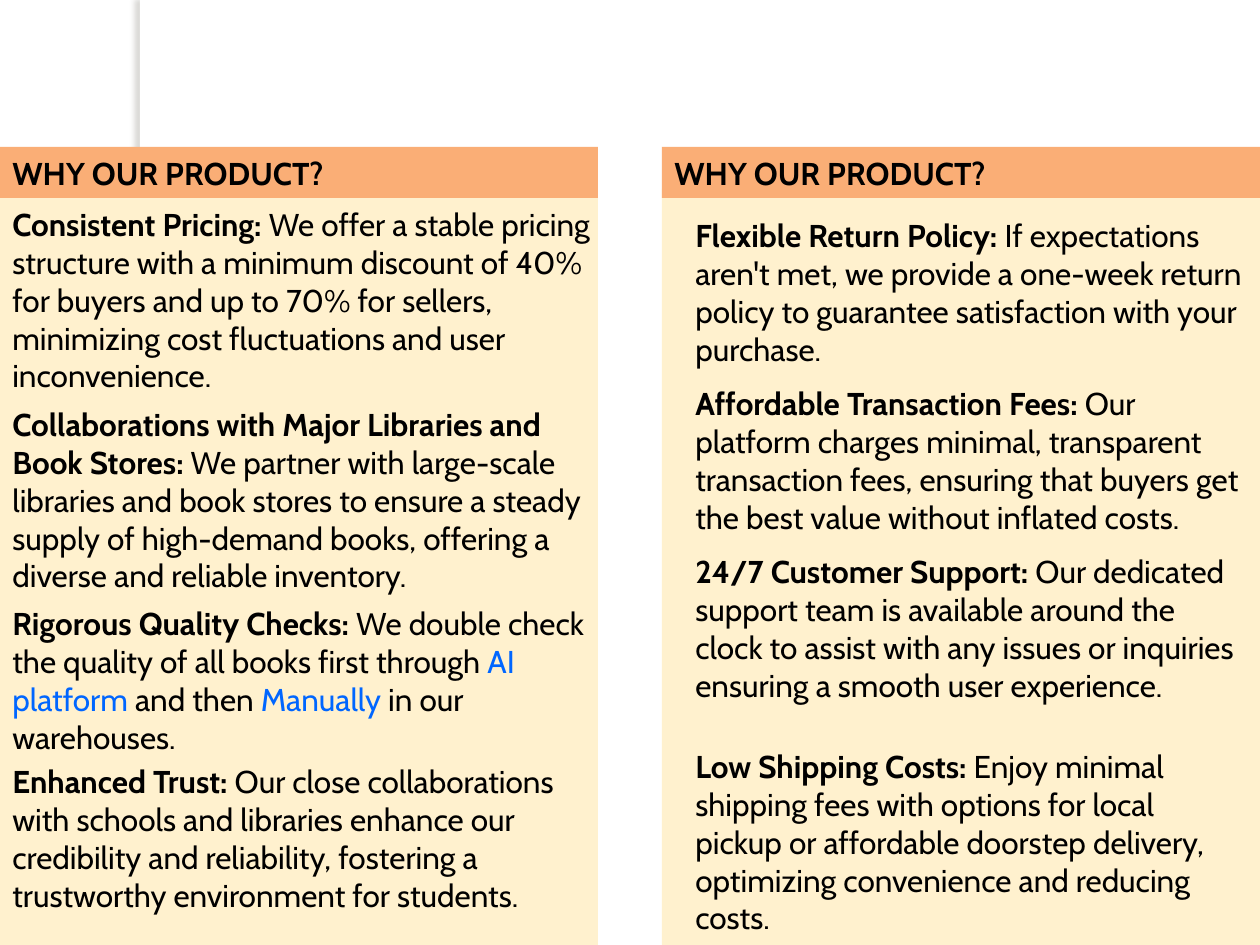
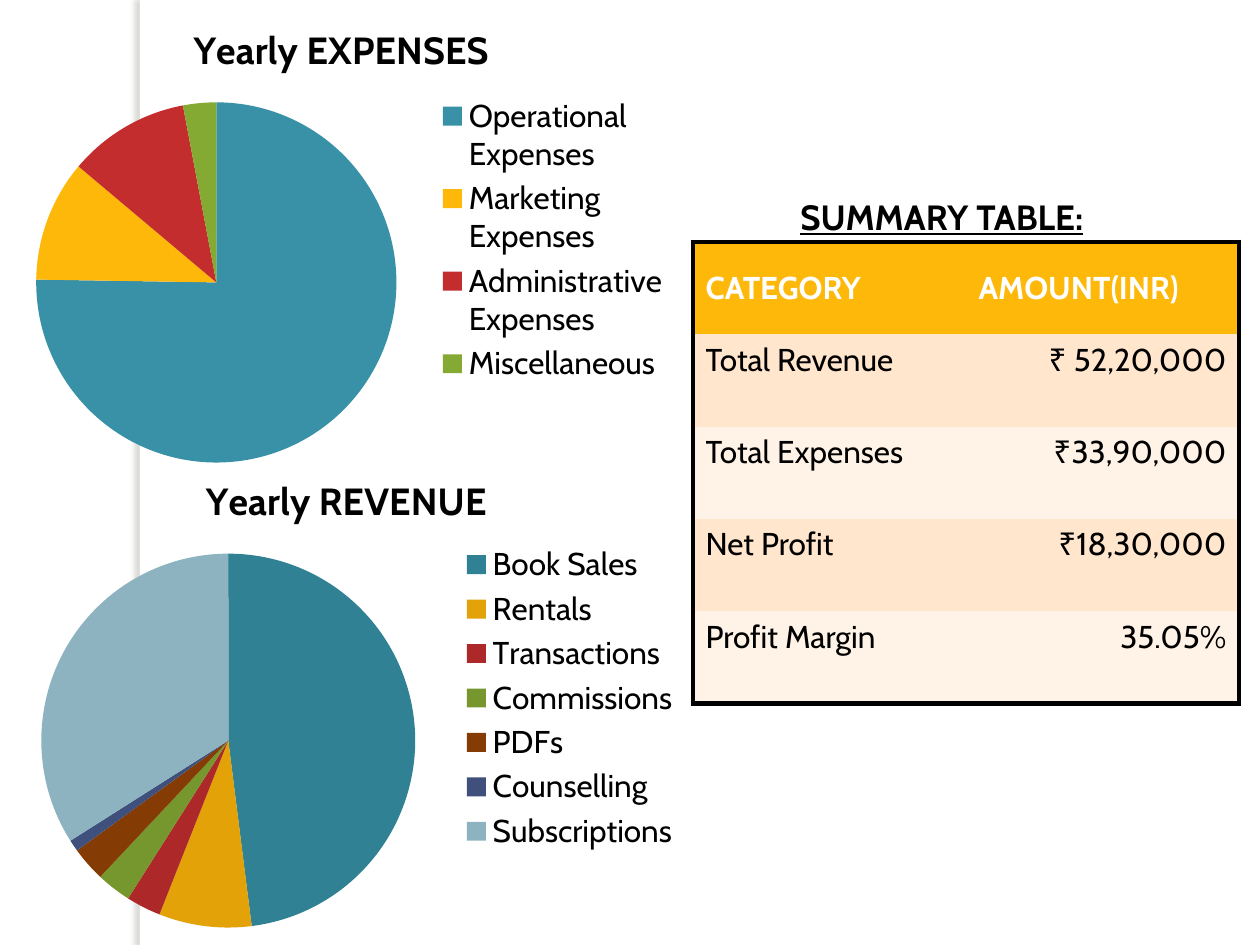
from lxml.etree import SubElement
from pptx import Presentation
from pptx.chart.data import CategoryChartData
from pptx.dml.color import RGBColor
from pptx.enum.chart import XL_CHART_TYPE, XL_LEGEND_POSITION
from pptx.enum.shapes import MSO_SHAPE
from pptx.enum.text import MSO_ANCHOR, MSO_AUTO_SIZE, PP_ALIGN
from pptx.oxml.ns import qn
from pptx.util import Emu, Pt

FONT = "Cabin"
BLACK, WHITE, BLUE = "000000", "FFFFFF", "0066FF"
CREAM, PEACH, GOLD = "FFF1CE", "FAAE76", "FEB80A"
STRIPES = ["FFE6CC", "FFF3E7"]
SHADE = "736F63"
PLAIN = "{2D5ABB26-0587-4C30-8999-92F81FD0307C}"

HEAD = "WHY OUR PRODUCT?"
PANELS = [
    (662, 683, [
        (210, 577, "Flexible Return Policy:", [
            (" If expectations aren't met, we provide a one-week return policy to "
             "guarantee satisfaction with your purchase.", BLACK)]),
        (378, 577, "Affordable Transaction Fees:", [
            (" Our platform charges minimal, transparent transaction fees, ensuring "
             "that buyers get the best value without inflated costs.", BLACK)]),
        (546, 577, "24/7 Customer Support:", [
            (" Our dedicated support team is available around the clock to assist "
             "with any issues or inquiries ensuring a smooth user experience.", BLACK)]),
        (741, 577, "Low Shipping Costs:", [
            (" Enjoy minimal shipping fees with options for local pickup or affordable "
             "doorstep delivery, optimizing convenience and reducing costs.", BLACK)]),
    ]),
    (0, 0, [
        (199, 620, "Consistent Pricing:", [
            (" We offer a stable pricing structure with a minimum discount of 40% for "
             "buyers and up to 70% for sellers, minimizing cost fluctuations and user "
             "inconvenience.", BLACK)]),
        (399, 608, "Collaborations with Major Libraries and Book Stores:", [
            (" We partner with large-scale libraries and book stores to ensure a steady "
             "supply of high-demand books, offering a diverse and reliable inventory.",
             BLACK)]),
        (598, 608, "Rigorous Quality Checks:", [
            (" We double check the quality of all books first through ", BLACK),
            ("AI platform ", BLUE), ("and then ", BLACK),
            ("Manually", BLUE), (" in our warehouses.", BLACK)]),
        (756, 620, "Enhanced Trust:", [
            (" Our close collaborations with schools and libraries enhance our "
             "credibility and reliability, fostering a trustworthy environment for "
             "students.", BLACK)]),
    ]),
]

PIES = [
    ("Yearly EXPENSES", (0, 0, 683, 480), [
        ("Operational Expenses", 76, "3891A7"),
        ("Marketing Expenses", 11, "FEB80A"),
        ("Administrative Expenses", 11, "C32D2E"),
        ("Miscellaneous", 3, "84AA33")]),
    ("Yearly REVENUE", (0, 451, 693, 494), [
        ("Book Sales", 48, "318194"),
        ("Rentals", 8, "E2A208"),
        ("Transactions", 3, "AD2829"),
        ("Commissions", 3, "75972E"),
        ("PDFs", 3, "853C04"),
        ("Counselling", 1, "3F507D"),
        ("Subscriptions", 34, "8DB3C0")]),
]

TITLE = "SUMMARY TABLE:"
ROWS = [
    ("CATEGORY", "AMOUNT(INR)"),
    ("Total Revenue", "₹ 52,20,000"),
    ("Total Expenses", "₹33,90,000"),
    ("Net Profit", "₹18,30,000"),
    ("Profit Margin", "35.05%"),
]


def px(n):
    return Emu(n * 914400 // 126)


def tint(hue):
    return RGBColor.from_string(hue)


def style(font, size=18, hue=BLACK, bold=False):
    font.name, font.size, font.bold = FONT, Pt(size), bold
    font.color.rgb = tint(hue)


def add_run(para, text, **look):
    run = para.add_run()
    run.text = text
    style(run.font, **look)
    return run


def add_box(slide, box, hue):
    shape = slide.shapes.add_shape(MSO_SHAPE.RECTANGLE, *map(px, box))
    shape.shadow.inherit = False
    shape.fill.solid()
    shape.fill.fore_color.rgb = tint(hue)
    shape.line.fill.background()
    return shape


def add_text(slide, box):
    frame = slide.shapes.add_textbox(*map(px, box)).text_frame
    frame.word_wrap = True
    frame.auto_size = MSO_AUTO_SIZE.SHAPE_TO_FIT_TEXT
    return frame.paragraphs[0]


def add_slide(deck):
    slide = deck.slides.add_slide(deck.slide_layouts[6])
    strip = add_box(slide, (140, 0, 10, 945), WHITE)
    glow = SubElement(strip.element.spPr.find(qn("a:effectLst")), qn("a:outerShdw"),
                      blurRad=str(Pt(3)), dist=str(Pt(3)), dir="10800000",
                      algn="tl", rotWithShape="0")
    color = SubElement(glow, qn("a:srgbClr"), val=SHADE)
    SubElement(color, qn("a:alpha"), val="25000")
    return slide


def add_panel(slide, left, inset, items):
    add_box(slide, (left, 189, 598, 756), CREAM)
    para = add_box(slide, (left, 147, 598, 51), PEACH).text_frame.paragraphs[0]
    para.alignment = PP_ALIGN.LEFT
    add_run(para, HEAD, bold=True)
    for top, width, lead, parts in items:
        para = add_text(slide, (inset, top, width, 165))
        add_run(para, lead, bold=True)
        for text, hue in parts:
            add_run(para, text, hue=hue)


def add_pie(slide, title, box, slices):
    names, vals, hues = zip(*slices)
    data = CategoryChartData()
    data.categories = names
    data.add_series("Series 1", vals)
    chart = slide.shapes.add_chart(XL_CHART_TYPE.PIE, *map(px, box), data).chart
    style(chart.font)
    chart.has_title = True
    add_run(chart.chart_title.text_frame.paragraphs[0], title, size=21.6, bold=True)
    chart.has_legend = True
    chart.legend.position = XL_LEGEND_POSITION.RIGHT
    chart.legend.include_in_layout = False
    style(chart.legend.font)
    plot = chart.plots[0]
    plot.vary_by_categories = True
    for i, hue in enumerate(hues):
        fill = plot.series[0].points[i].format.fill
        fill.solid()
        fill.fore_color.rgb = tint(hue)


def add_edge(cell, side):
    line = SubElement(cell._tc.get_or_add_tcPr(), qn("a:ln" + side), w=str(Pt(3)))
    fill = SubElement(line, qn("a:solidFill"))
    SubElement(fill, qn("a:srgbClr"), val=BLACK)


def add_grid(slide):
    last = len(ROWS) - 1
    box = map(px, (693, 242, 546, 462))
    table = slide.shapes.add_table(len(ROWS), 2, *box).table
    table._tbl.tblPr[0].text = PLAIN
    for r, row in enumerate(ROWS):
        for c, text in enumerate(row):
            cell = table.cell(r, c)
            add_edge(cell, "LR"[c])
            if r == 0:
                add_edge(cell, "T")
            if r == last:
                add_edge(cell, "B")
            cell.fill.solid()
            cell.fill.fore_color.rgb = tint(STRIPES[(r - 1) % 2] if r else GOLD)
            cell.vertical_anchor = MSO_ANCHOR.TOP if r else MSO_ANCHOR.MIDDLE
            para = cell.text_frame.paragraphs[0]
            para.alignment = PP_ALIGN.RIGHT if r and c else PP_ALIGN.LEFT
            add_run(para, text, hue=BLACK if r else WHITE, bold=r == 0)


def main():
    deck = Presentation()
    deck.slide_width, deck.slide_height = px(1260), px(945)
    slide = add_slide(deck)
    for panel in PANELS:
        add_panel(slide, *panel)
    slide = add_slide(deck)
    for pie in PIES:
        add_pie(slide, *pie)
    add_grid(slide)
    para = add_text(slide, (788, 189, 378, 55))
    add_run(para, TITLE, size=20, bold=True).font.underline = True
    deck.save("out.pptx")


if __name__ == "__main__":
    main()
